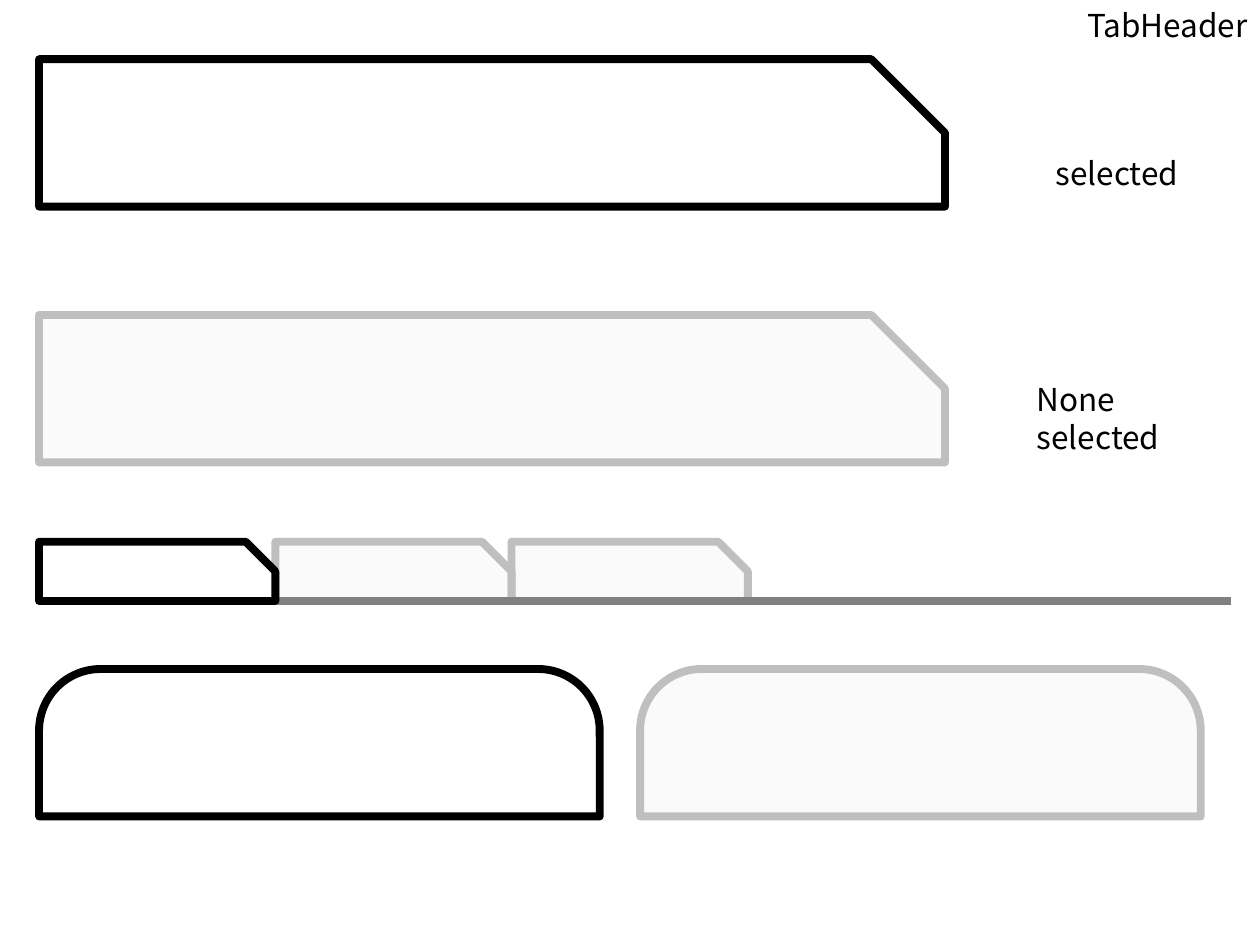
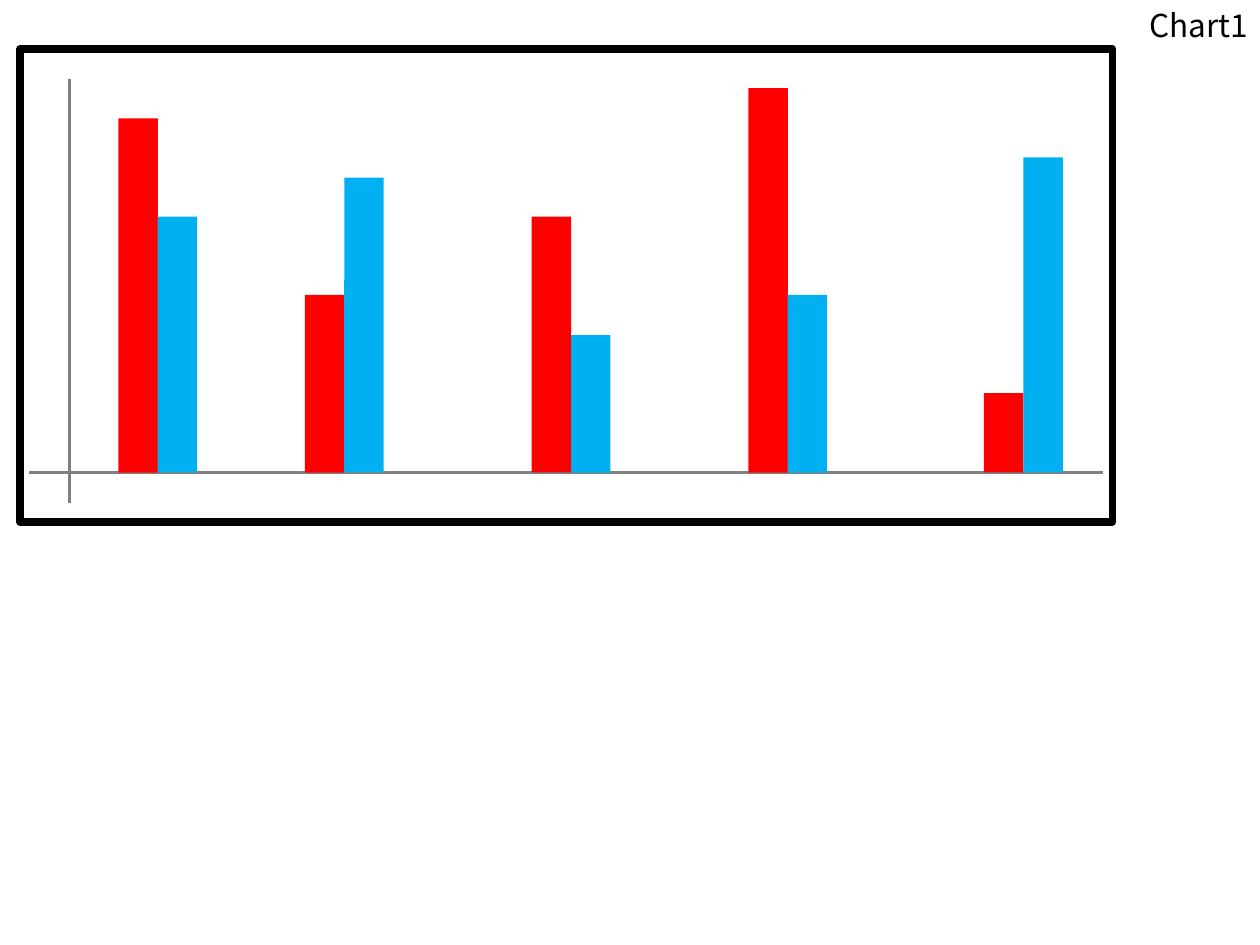
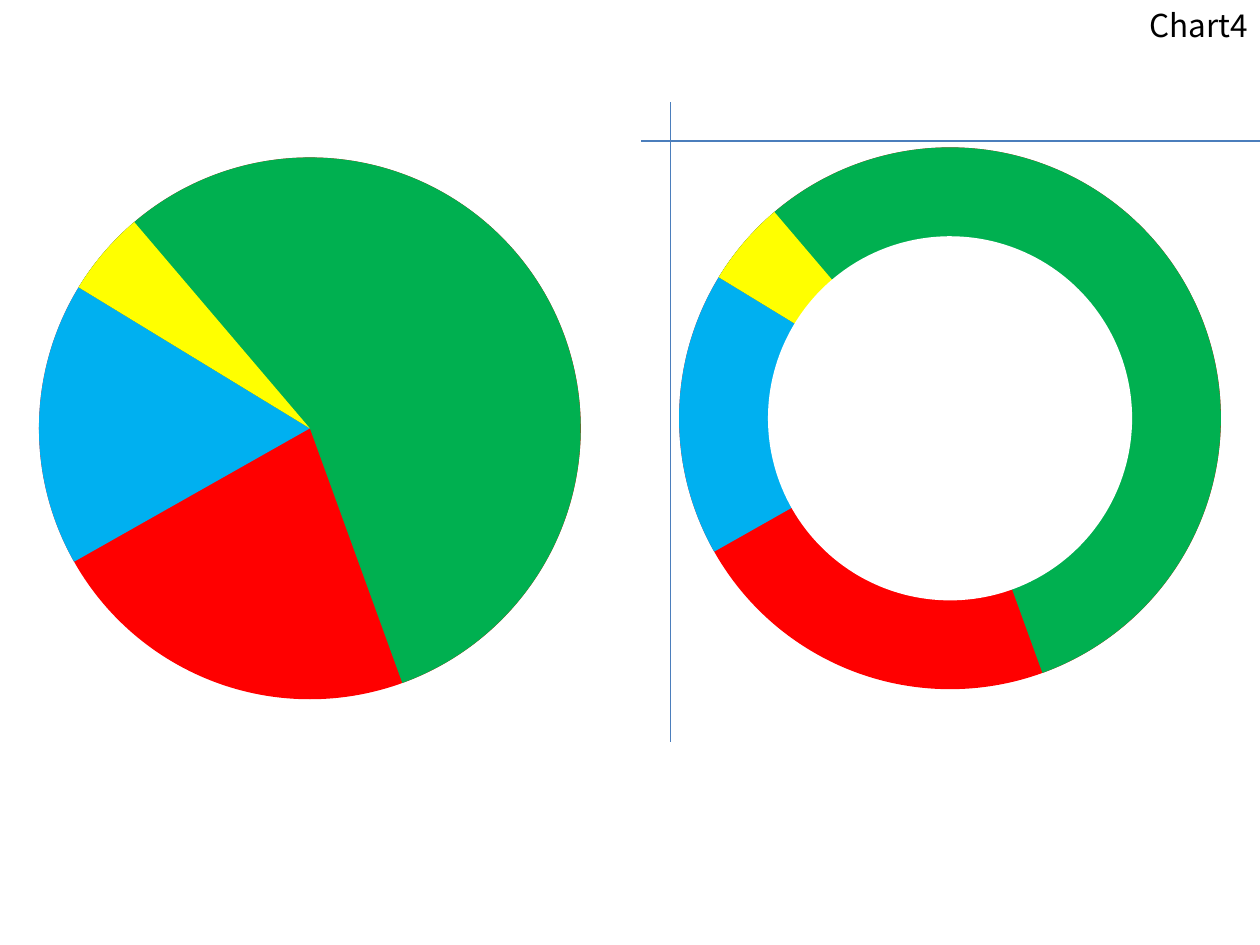
from lxml import etree
from pptx import Presentation
from pptx.dml.color import RGBColor
from pptx.enum import shapes, text
from pptx.oxml.ns import qn
from pptx.util import Inches, Pt

BLACK = RGBColor(0x00, 0x00, 0x00)
WHITE = RGBColor(0xFF, 0xFF, 0xFF)
PALE = RGBColor(0xF2, 0xF2, 0xF2)
SILVER = RGBColor(0xBF, 0xBF, 0xBF)
GRAY = RGBColor(0x80, 0x80, 0x80)
RED = RGBColor(0xFF, 0x00, 0x00)
BLUE = RGBColor(0x00, 0xB0, 0xF0)
GREEN = RGBColor(0x00, 0xB0, 0x50)
YELLOW = RGBColor(0xFF, 0xFF, 0x00)
GUIDE = RGBColor(0x4B, 0x7E, 0xBC)

FONT = "Noto Sans CJK KR"
THICK = 4.5
STRAIGHT = shapes.MSO_CONNECTOR.STRAIGHT
SNIP = shapes.MSO_SHAPE.SNIP_1_RECTANGLE
ROUND_TOP = shapes.MSO_SHAPE.ROUND_2_SAME_RECTANGLE
ROUNDED = shapes.MSO_SHAPE.ROUNDED_RECTANGLE
OVAL = shapes.MSO_SHAPE.OVAL
PIE = shapes.MSO_SHAPE.PIE

SELECTED = dict(fill=WHITE, line=BLACK, width=THICK)
UNSELECTED = dict(fill=PALE, opacity=38, line=SILVER, width=THICK)


def add_text(s, words, x, y, w, h, size=18, color=BLACK, align=text.PP_ALIGN.LEFT):
    tf = s.shapes.add_textbox(Inches(x), Inches(y), Inches(w), Inches(h)).text_frame
    tf.word_wrap = True
    tf.auto_size = text.MSO_AUTO_SIZE.SHAPE_TO_FIT_TEXT
    p = tf.paragraphs[0]
    p.alignment = align
    r = p.add_run()
    r.text = words
    r.font.name, r.font.size, r.font.color.rgb = FONT, Pt(size), color


def draw(s, kind, x, y, w, h, fill=None, opacity=100, line=None, width=1, adj=()):
    """Draw a preset shape, or a straight line spanning w and h."""
    if kind is STRAIGHT:
        sp = s.shapes.add_connector(kind, Inches(x), Inches(y), Inches(x + w), Inches(y + h))
        etree.SubElement(sp._element.spPr, qn("a:effectLst"))
    else:
        sp = s.shapes.add_shape(kind, Inches(x), Inches(y), Inches(w), Inches(h))
        sp.shadow.inherit = False
        for i, value in enumerate(adj):
            sp.adjustments[i] = value
        if fill is None:
            sp.fill.background()
        else:
            sp.fill.solid()
            sp.fill.fore_color.rgb = fill
        if opacity < 100:
            clr = sp._element.spPr.find(qn("a:solidFill"))[0]
            etree.SubElement(clr, qn("a:alpha"), val=str(opacity * 1000))
    if line is None:
        sp.line.fill.background()
    else:
        sp.line.color.rgb = line
        sp.line.width = Pt(width)


prs = Presentation()
prs.slide_width, prs.slide_height = Inches(10), Inches(7.5)

# Slides with their name in the top right corner
slides = []
for name in ("TabHeader", "Chart1", "Chart4"):
    s = prs.slides.add_slide(prs.slide_layouts[6])
    add_text(s, name, 7.97, 0, 2.03, 0.4, align=text.PP_ALIGN.RIGHT)
    slides.append(s)
tabs, bars, pies = slides

# Large tab headers with labels
LEFT = 0.31
for y, state in ((0.47, SELECTED), (2.5, UNSELECTED)):
    draw(tabs, SNIP, LEFT, y, 7.19, 1.17, adj=[0.5], **state)
add_text(tabs, "selected", 8.28, 1.17, 1.48, 0.4)
add_text(tabs, "None selected", 8.13, 2.97, 1.48, 0.71)

# Row of small tabs, the selected one in front of the base line
TAB_W, TAB_H, TAB_Y = 1.875, 0.47, 4.3
for i in (2, 1):
    draw(tabs, SNIP, LEFT + i * TAB_W, TAB_Y, TAB_W, TAB_H, adj=[0.5], **UNSELECTED)
draw(tabs, STRAIGHT, LEFT, TAB_Y + TAB_H, 9.46, 0, line=GRAY, width=THICK)
draw(tabs, SNIP, LEFT, TAB_Y, TAB_W, TAB_H, adj=[0.5], **SELECTED)

# Tabs with round top corners
for x, state in ((LEFT, SELECTED), (5.08, UNSELECTED)):
    draw(tabs, ROUND_TOP, x, 5.31, 4.45, 1.17, adj=[0.418, 0], **state)

# Bar chart icon: frame and axes
BASE, BAR_W = 3.75, 0.3125
draw(bars, ROUNDED, 0.16, 0.39, 8.67, 3.75, line=BLACK, width=THICK, adj=[0])
draw(bars, STRAIGHT, 0.23, BASE, 8.52, 0, line=GRAY, width=1.5)
draw(bars, STRAIGHT, 0.55, 0.63, 0, 3.36, line=GRAY, width=1.5)

# Bar pairs: left edge, red height, blue height
for x, red, blue in ((0.94, 2.81, 2.03), (2.42, 1.41, 2.34), (4.22, 2.03, 1.09),
                     (5.94, 3.05, 1.41), (7.81, 0.63, 2.5)):
    for i, (height, color) in enumerate(((red, RED), (blue, BLUE))):
        draw(bars, ROUNDED, x + i * BAR_W, BASE - height, BAR_W, height,
             fill=color, adj=[0.01])

# Pie and ring: sectors by start and end angle over a red disc
DISC, HOLE = 4.3, 2.89
DEGREE = 0.6  # adjustment units per degree
SECTORS = ((150.5, 211.37, BLUE), (211.4, 70.05, GREEN), (211.38, 229.59, YELLOW))
for x, y in ((0.31, 1.25), (5.39, 1.17)):
    draw(pies, OVAL, x, y, DISC, DISC, fill=RED)
    for start, end, color in SECTORS:
        draw(pies, PIE, x, y, DISC, DISC, fill=color, adj=[start * DEGREE, end * DEGREE])
inset = (DISC - HOLE) / 2
draw(pies, OVAL, x + inset, y + inset, HOLE, HOLE, fill=WHITE)

# Guide lines beside the ring
draw(pies, STRAIGHT, 5.09, 1.12, 4.91, 0, line=GUIDE, width=0.75)
draw(pies, STRAIGHT, 5.32, 0.81, 0, 5.08, line=GUIDE, width=0.75)

prs.save("out.pptx")
